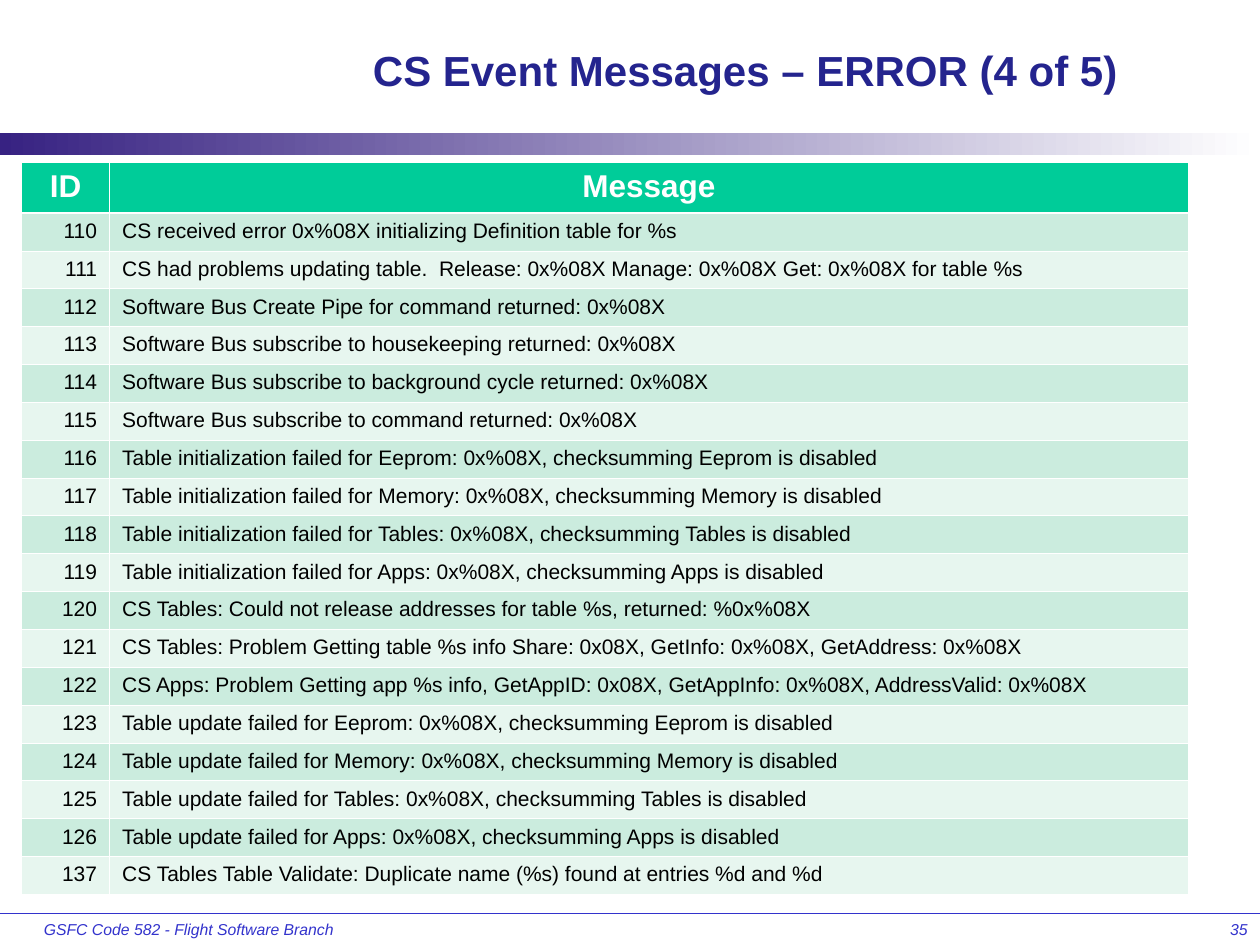
from lxml.etree import SubElement
from pptx import Presentation
from pptx.dml.color import RGBColor
from pptx.enum.shapes import MSO_CONNECTOR, MSO_SHAPE
from pptx.enum.text import MSO_ANCHOR, PP_ALIGN
from pptx.oxml.ns import qn
from pptx.util import Inches, Pt

COLORS = {
    "title": "24248E",
    "footer": "3333CC",
    "bar": "372282",
    "header": "00CC99",
    "odd": "CBECDE",
    "even": "E7F6EF",
    "text": "000000",
    "white": "FFFFFF",
}
MESSAGES = [
    (110, "CS received error 0x%08X initializing Definition table for %s"),
    (111, "CS had problems updating table.  Release: 0x%08X Manage: 0x%08X Get: 0x%08X for table %s"),
    (112, "Software Bus Create Pipe for command returned: 0x%08X"),
    (113, "Software Bus subscribe to housekeeping returned: 0x%08X"),
    (114, "Software Bus subscribe to background cycle returned: 0x%08X"),
    (115, "Software Bus subscribe to command returned: 0x%08X"),
    (116, "Table initialization failed for Eeprom: 0x%08X, checksumming Eeprom is disabled"),
    (117, "Table initialization failed for Memory: 0x%08X, checksumming Memory is disabled"),
    (118, "Table initialization failed for Tables: 0x%08X, checksumming Tables is disabled"),
    (119, "Table initialization failed for Apps: 0x%08X, checksumming Apps is disabled"),
    (120, "CS Tables: Could not release addresses for table %s, returned: %0x%08X"),
    (121, "CS Tables: Problem Getting table %s info Share: 0x08X, GetInfo: 0x%08X, GetAddress: 0x%08X"),
    (122, "CS Apps: Problem Getting app %s info, GetAppID: 0x08X, GetAppInfo: 0x%08X, AddressValid: 0x%08X"),
    (123, "Table update failed for Eeprom: 0x%08X, checksumming Eeprom is disabled"),
    (124, "Table update failed for Memory: 0x%08X, checksumming Memory is disabled"),
    (125, "Table update failed for Tables: 0x%08X, checksumming Tables is disabled"),
    (126, "Table update failed for Apps: 0x%08X, checksumming Apps is disabled"),
    (137, "CS Tables Table Validate: Duplicate name (%s) found at entries %d and %d"),
]


def write(frame, text, size, color, align, bold=False, italic=False):
    frame.word_wrap = True
    paragraph = frame.paragraphs[0]
    paragraph.text = text
    paragraph.alignment = align
    font = paragraph.font
    font.name = "Arial"
    font.size = Pt(size)
    font.bold = bold
    font.italic = italic
    font.color.rgb = RGBColor.from_string(COLORS[color])


def set_border(cell, side, width):
    border = SubElement(cell._tc.get_or_add_tcPr(), qn(f"a:{side}"), w=str(Pt(width)))
    fill = SubElement(border, qn("a:solidFill"))
    SubElement(fill, qn("a:srgbClr"), val=COLORS["white"])


prs = Presentation()
prs.slide_width = Inches(10)
prs.slide_height = Inches(7.5)
slide = prs.slides.add_slide(prs.slide_layouts[6])
shapes = slide.shapes

footer_rule = shapes.add_connector(
    MSO_CONNECTOR.STRAIGHT, Inches(0), Inches(7.25), Inches(10), Inches(7.25)
)
footer_rule.line.color.rgb = RGBColor.from_string(COLORS["footer"])
footer_rule.line.width = Pt(0.75)
SubElement(footer_rule._element.spPr, qn("a:effectLst"))

title_bar = shapes.add_shape(
    MSO_SHAPE.RECTANGLE, Inches(0), Inches(1.06), Inches(10), Inches(0.17)
)
title_bar.shadow.inherit = False
title_bar.line.fill.background()
title_bar.fill.gradient()
title_bar.fill.gradient_angle = 0
for stop, color, position in zip(title_bar.fill.gradient_stops, ("bar", "white"), (0, 1)):
    stop.color.rgb = RGBColor.from_string(COLORS[color])
    stop.position = position

for text, left, width, align in [
    ("GSFC Code 582 - Flight Software Branch", 0.25, 2.5, PP_ALIGN.LEFT),
    ("35", 7.92, 2.08, PP_ALIGN.RIGHT),
]:
    footer = shapes.add_textbox(Inches(left), Inches(7.25), Inches(width), Inches(0.25))
    write(footer.text_frame, text, 9, "footer", align, italic=True)

title = shapes.add_textbox(Inches(2.08), Inches(0.17), Inches(7.67), Inches(0.76))
title.text_frame.vertical_anchor = MSO_ANCHOR.MIDDLE
write(title.text_frame, "CS Event Messages – ERROR (4 of 5)", 24, "title", PP_ALIGN.CENTER, bold=True)

rows = [("ID", "Message"), *MESSAGES]
table = shapes.add_table(
    len(rows), 2, Inches(0.17), Inches(1.29), Inches(9.26), Inches(5.8)
).table
table.columns[0].width = Inches(0.7)
table.columns[1].width = Inches(8.56)

for row_index, row in enumerate(rows):
    is_header = row_index == 0
    table.rows[row_index].height = Inches(0.4 if is_header else 0.3)
    band = "header" if is_header else "odd" if row_index % 2 else "even"
    for column, text in enumerate(row):
        cell = table.cell(row_index, column)
        if is_header:
            write(cell.text_frame, text, 18, "white", PP_ALIGN.CENTER, bold=True)
        else:
            align = PP_ALIGN.LEFT if column else PP_ALIGN.RIGHT
            write(cell.text_frame, str(text), 12, "text", align)
        set_border(cell, "lnL", 0.45)
        set_border(cell, "lnR", 0.45)
        set_border(cell, "lnT", 1.47 if row_index == 1 else 0.45)
        set_border(cell, "lnB", 1.47 if is_header else 0.45)
        cell.fill.solid()
        cell.fill.fore_color.rgb = RGBColor.from_string(COLORS[band])

prs.save("out.pptx")
